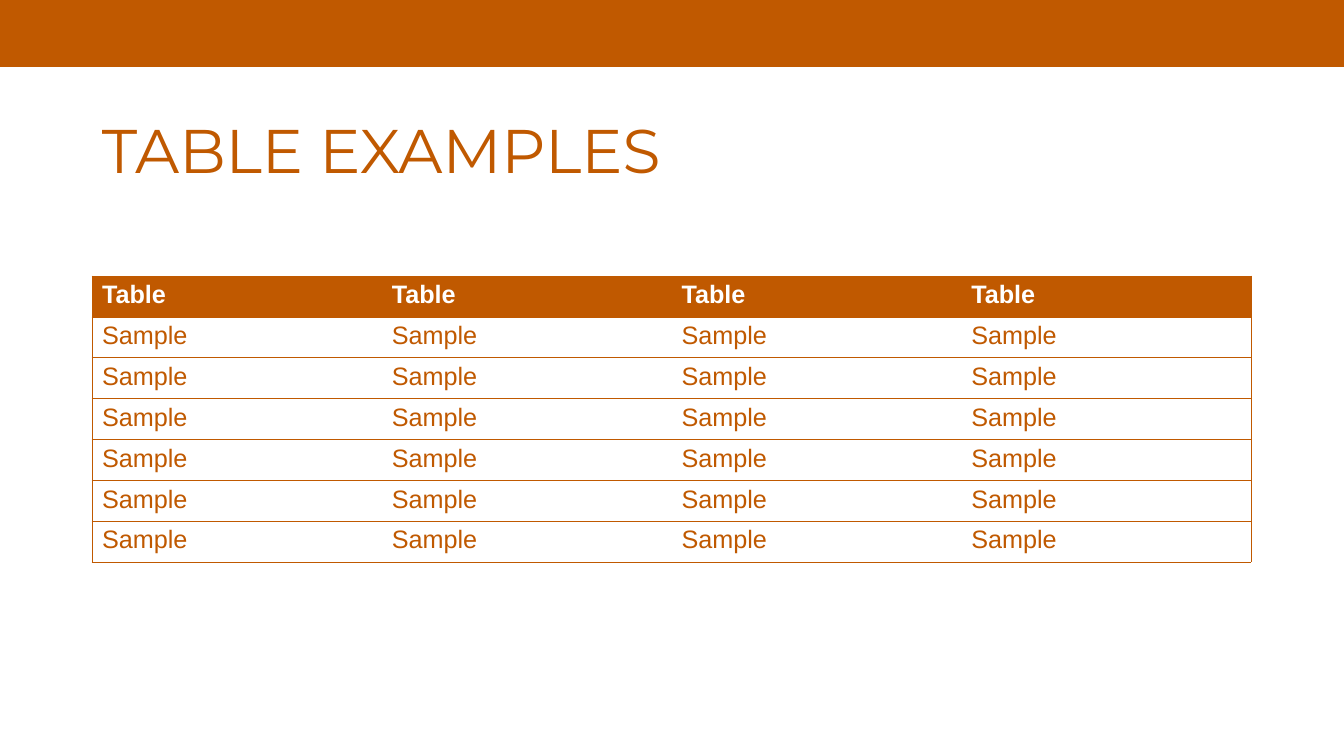
from lxml.etree import SubElement
from pptx import Presentation
from pptx.dml.color import RGBColor
from pptx.enum.shapes import MSO_SHAPE
from pptx.enum.text import MSO_ANCHOR
from pptx.oxml.ns import qn
from pptx.util import Pt

PX = 914400 / 100.8
ORANGE = RGBColor(0xC0, 0x59, 0x00)
WHITE = RGBColor(0xFF, 0xFF, 0xFF)
ROWS = [["Table"] * 4] + [["Sample"] * 4] * 6


def emu(*sizes):
    return [round(size * PX) for size in sizes]


def add_run(para, text, font, size, color, bold=False):
    run = para.add_run()
    run.text = text
    run.font.name = font
    run.font.size = Pt(size)
    run.font.bold = bold
    run.font.color.rgb = color


def add_band(slide, box):
    band = slide.shapes.add_shape(MSO_SHAPE.RECTANGLE, *emu(*box))
    band.shadow.inherit = False
    band.fill.solid()
    band.fill.fore_color.rgb = ORANGE
    band.line.fill.background()


def add_title(slide, box, text):
    frame = slide.shapes.add_textbox(*emu(*box)).text_frame
    frame.word_wrap = True
    frame.vertical_anchor = MSO_ANCHOR.TOP
    para = frame.paragraphs[0]
    para.line_spacing = 0.9
    add_run(para, text, "Montserrat", 44, ORANGE)


def set_edges(cell, shown):
    """Rule the shown sides of a cell (L, R, T, B) and clear the others."""
    props = cell._tc.get_or_add_tcPr()
    for side in "LRTB":
        line = SubElement(props, qn(f"a:ln{side}"), w=str(Pt(0.5)))
        if side in shown:
            fill = SubElement(line, qn("a:solidFill"))
            SubElement(fill, qn("a:srgbClr"), val=str(ORANGE))
        else:
            SubElement(line, qn("a:noFill"))


def add_grid(slide, box, rows):
    count, last = len(rows), len(rows[0]) - 1
    table = slide.shapes.add_table(count, last + 1, *emu(*box)).table
    table.horz_banding = False
    for r, row in enumerate(rows):
        head = r == 0
        for c, text in enumerate(row):
            cell = table.cell(r, c)
            set_edges(cell, "TB" + "L" * (c == 0) + "R" * (c == last))
            if head:
                cell.fill.solid()
                cell.fill.fore_color.rgb = ORANGE
            else:
                cell.fill.background()
            add_run(cell.text_frame.paragraphs[0], text, "Arial", 18,
                    WHITE if head else ORANGE, head)


def main():
    deck = Presentation()
    deck.slide_width, deck.slide_height = emu(1344, 756)
    slide = deck.slides.add_slide(deck.slide_layouts[6])
    add_band(slide, (0, 0, 1344, 67))
    add_title(slide, (92, 115, 1159, 146), "TABLE EXAMPLES")
    add_grid(slide, (92, 276, 1159, 286), ROWS)
    deck.save("out.pptx")


if __name__ == "__main__":
    main()
